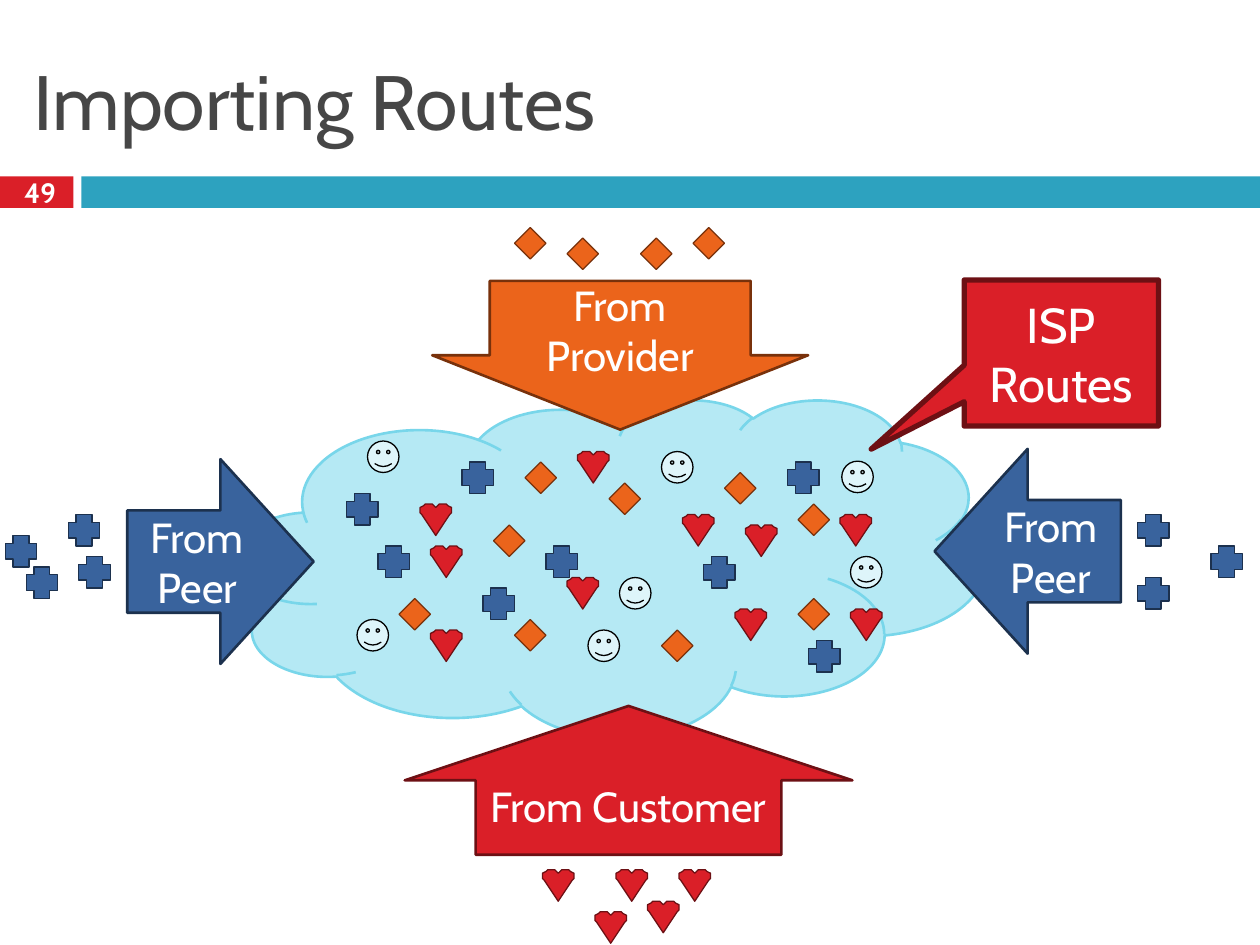
from pptx import Presentation
from pptx import util as u
from pptx.dml import color
from pptx.enum import shapes, text

Pt = u.Pt
FONT = "Cabin"
COLORS = {
    "red": "DA1F28", "dark red": "6D1014",
    "orange": "EB641B", "dark orange": "78310B",
    "blue": "39639D", "dark blue": "1C314E",
    "teal": "2DA2BF", "cloud": "B5E9F4", "cloud edge": "78D6EA",
    "face": "DEF5FA", "black": "000000", "white": "FFFFFF", "title": "464646",
}
KINDS = shapes.MSO_SHAPE
SIZE = 18
HEART = [(9, 2.1), (10, 1), (11.3, 0.3), (13.3, 0), (15, 0.4), (16.5, 1.3),
         (17.5, 2.4), (18, 3.8), (17.9, 5.2), (17.3, 6.5), (9, 18)]
HEART += [(SIZE - x, y) for x, y in HEART[-2:0:-1]]


def paint(shape, fill, line=None, width=0.75):
    shape.shadow.inherit = False
    shape.fill.solid()
    shape.fill.fore_color.rgb = color.RGBColor.from_string(COLORS[fill])
    if line:
        shape.line.color.rgb = color.RGBColor.from_string(COLORS[line])
        shape.line.width = Pt(width)
    else:
        shape.line.fill.background()


def write(shape, words, size, ink="white", align=text.PP_ALIGN.CENTER, bold=False):
    frame = shape.text_frame
    frame.word_wrap = True
    frame.auto_size = text.MSO_AUTO_SIZE.NONE
    frame.vertical_anchor = text.MSO_ANCHOR.MIDDLE
    frame.text = words
    paragraph = frame.paragraphs[0]
    paragraph.alignment = align
    paragraph.font.name = FONT
    paragraph.font.size = Pt(size)
    paragraph.font.bold = bold
    paragraph.font.color.rgb = color.RGBColor.from_string(COLORS[ink])


presentation = Presentation()
presentation.slide_width, presentation.slide_height = Pt(720), Pt(540)
slide = presentation.slides.add_slide(presentation.slide_layouts[5])

title = slide.shapes.title
title.left, title.top, title.width, title.height = Pt(12), Pt(18), Pt(696), Pt(78)
write(title, "Importing Routes", 44, "title", text.PP_ALIGN.LEFT)

for left, width, fill in [(0, 42, "red"), (46.5, 673.5, "teal")]:
    bar = slide.shapes.add_shape(KINDS.RECTANGLE, Pt(left), Pt(100.8), Pt(width), Pt(18))
    paint(bar, fill)

number = slide.shapes.add_textbox(Pt(-0.5), Pt(99.4), Pt(46.8), Pt(20.9))
write(number, "49", 16, bold=True)

cloud = slide.shapes.add_shape(KINDS.CLOUD, Pt(134.6), Pt(228.2), Pt(428.4), Pt(193))
paint(cloud, "cloud", "cloud edge", 1.5)

markers = [
    (KINDS.DIAMOND, "orange", "dark orange", [
        (456, 288), (294, 354), (456, 342), (300, 264), (414, 270), (378, 360),
        (348, 276), (228, 342), (282, 300),
        (294, 130), (324, 136), (366, 136), (396, 130)]),
    (KINDS.CROSS, "blue", "dark blue", [
        (198, 282), (312, 312), (462, 366), (450, 264), (216, 312), (276, 336),
        (402, 318), (264, 264),
        (3, 306), (15, 324), (39, 294), (45, 318),
        (650, 294), (650, 330), (692, 312)]),
    (KINDS.SMILEY_FACE, "face", "black", [
        (336, 360), (378, 258), (204, 354), (210, 252), (486, 318), (354, 330),
        (481, 263.5)]),
]
for kind, fill, line, places in markers:
    for left, top in places:
        marker = slide.shapes.add_shape(kind, Pt(left), Pt(top), Pt(SIZE), Pt(SIZE))
        paint(marker, fill, line)

hearts = [
    (486, 348), (420, 348), (246, 360), (246, 312), (240, 288), (324, 330),
    (390, 294), (330, 258), (480, 294), (426, 300),
    (340, 521), (370, 515), (310, 497), (352, 497), (388, 497),
]
for left, top in hearts:
    outline = slide.shapes.build_freeform(*HEART[0], scale=Pt(1))
    outline.add_line_segments(HEART[1:], close=True)
    paint(outline.convert_to_shape(Pt(left), Pt(top)), "red", "dark red")

labels = [
    (KINDS.DOWN_ARROW, 247, 160.5, 214.8, 85, (0.694, 0.5),
     "orange", 1.5, "From Provider", 24),
    (KINDS.LEFT_ARROW, 534, 256.5, 106.5, 117, (0.5, 0.5),
     "blue", 1.5, "From Peer", 24),
    (KINDS.RIGHT_ARROW, 72.7, 262.4, 106.5, 117, (0.5, 0.5),
     "blue", 1.5, "From Peer", 24),
    (KINDS.UP_ARROW, 231.3, 403.4, 255.8, 85, (0.683, 0.5),
     "red", 1.5, "From Customer", 24),
    (KINDS.RECTANGULAR_CALLOUT, 551, 160, 111, 83.5, (-0.979, 0.658),
     "red", 3, "ISP Routes", 28),
]
for kind, left, top, width, height, adjustments, fill, weight, words, size in labels:
    label = slide.shapes.add_shape(kind, Pt(left), Pt(top), Pt(width), Pt(height))
    for index, value in enumerate(adjustments):
        label.adjustments[index] = value
    paint(label, fill, "dark " + fill, weight)
    write(label, words, size)

presentation.save("out.pptx")
